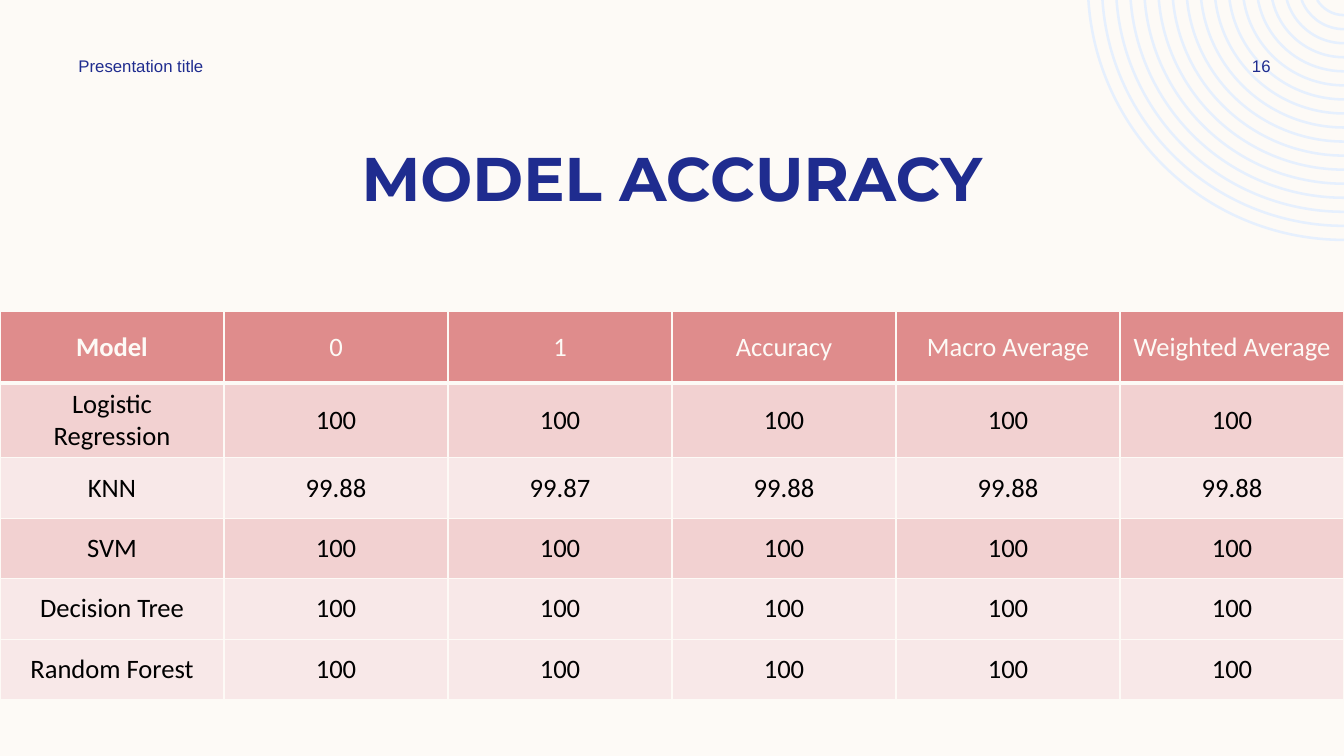
import math
from dataclasses import dataclass

from lxml import etree
from pptx import Presentation
from pptx import util as u
from pptx.dml.color import RGBColor
from pptx.enum import text
from pptx.oxml.ns import qn


@dataclass(frozen=True)
class Theme:
    page: str = "FDFAF6"
    ink: str = "1F2C8F"
    rings: str = "E6F0FE"
    head: str = "DF8C8C"
    dark_band: str = "F2D1D1"
    light_band: str = "F8E8E8"
    body: str = "000000"
    title_font: str = "Montserrat"
    table_font: str = "Calibri"
    label_font: str = "Arial"
    title_size: int = 44
    table_size: int = 19
    label_size: int = 12


THEME = Theme()
WIDTH, HEIGHT = 13.33, 7.5
CENTER, LEFT = text.PP_ALIGN.CENTER, text.PP_ALIGN.LEFT

HEADINGS = ["Model", "0", "1", "Accuracy", "Macro Average", "Weighted Average"]
SCORES = [
    ("Logistic Regression", ["100"] * 5, THEME.dark_band),
    ("KNN", ["99.88", "99.87", "99.88", "99.88", "99.88"], THEME.light_band),
    ("SVM", ["100"] * 5, THEME.dark_band),
    ("Decision Tree", ["100"] * 5, THEME.light_band),
    ("Random Forest", ["100"] * 5, THEME.light_band),
]


def write(frame, words, font, size, color, bold=False, align=CENTER):
    """Put one formatted run into a text frame."""
    para = frame.paragraphs[0]
    para.alignment = align
    span = para.add_run()
    span.text = words
    span.font.name, span.font.size, span.font.bold = font, u.Pt(size), bold
    span.font.color.rgb = RGBColor.from_string(color)


# Corner ornament: evenly spaced rings, cut off by the top and right page edges
def add_rings(page, center_x, center_y, inner, outer, count):
    radii = [inner + (outer - inner) * i / (count - 1) for i in range(count)]
    builder = None
    for radius in radii:
        reach = math.sqrt(radius ** 2 - center_y ** 2)
        start = u.Inches(center_x - reach), u.Inches(0)
        end = u.Inches(center_x), u.Inches(center_y + radius)
        if builder is None:
            builder = page.shapes.build_freeform(*start)
        else:
            builder.move_to(*start)
        builder.add_line_segments([end], close=False)
    rings = builder.convert_to_shape()

    # Bend each straight segment into an arc (angles in 1/60000 degree)
    segments = list(rings._element.iter(qn("a:lnTo")))
    for radius, segment in zip(radii, segments):
        cut = math.degrees(math.asin(-center_y / radius))
        size = str(u.Inches(radius))
        bend = etree.Element(qn("a:arcTo"), wR=size, hR=size,
                             stAng=str(round((180 - cut) * 60000)),
                             swAng=str(round((cut - 90) * 60000)))
        segment.getparent().replace(segment, bend)

    rings.shadow.inherit = False
    rings.fill.background()
    rings.line.color.rgb = RGBColor.from_string(THEME.rings)
    rings.line.width = u.Pt(1.8)
    page.shapes._spTree.insert(2, rings._element)  # behind everything else


# Title
def add_title(page, left, top, width, height):
    title = page.shapes.title
    title.left, title.top = u.Inches(left), u.Inches(top)
    title.width, title.height = u.Inches(width), u.Inches(height)
    frame = title.text_frame
    frame.auto_size = text.MSO_AUTO_SIZE.NONE
    frame.vertical_anchor = text.MSO_ANCHOR.MIDDLE
    write(frame, "MODEL ACCURACY", THEME.title_font, THEME.title_size, THEME.ink, True)


# Header labels
def add_label(page, words, left, top, width, height, align):
    box = page.shapes.add_textbox(*map(u.Inches, (left, top, width, height)))
    frame = box.text_frame
    frame.word_wrap = True
    frame.vertical_anchor = text.MSO_ANCHOR.MIDDLE
    write(frame, words, THEME.label_font, THEME.label_size, THEME.ink, align=align)


# Score table
def set_borders(cell, top, bottom):
    props = cell._tc.get_or_add_tcPr()
    for side, points in (("L", 1), ("R", 1), ("T", top), ("B", bottom)):
        line = etree.SubElement(props, qn(f"a:ln{side}"), w=str(u.Pt(points)))
        fill = etree.SubElement(line, qn("a:solidFill"))
        etree.SubElement(fill, qn("a:srgbClr"), val=THEME.page)


def add_scores(page, left, top, width, head_height, row_height):
    rows = [(HEADINGS, THEME.head)]
    rows += [([model, *values], band) for model, values, band in SCORES]
    height = head_height + row_height * len(SCORES)
    table = page.shapes.add_table(
        len(rows), len(HEADINGS), *map(u.Inches, (left, top, width, height))).table
    for column in table.columns:
        column.width = u.Inches(width / len(HEADINGS))
    for r, (values, band) in enumerate(rows):
        is_head = r == 0
        table.rows[r].height = u.Inches(head_height if is_head else row_height)
        for c, value in enumerate(values):
            cell = table.cell(r, c)
            set_borders(cell, top=3 if r == 1 else 1, bottom=3 if is_head else 1)
            cell.fill.solid()
            cell.fill.fore_color.rgb = RGBColor.from_string(band)
            cell.vertical_anchor = text.MSO_ANCHOR.MIDDLE
            cell.margin_left = cell.margin_right = u.Inches(0.11)
            cell.margin_top = cell.margin_bottom = u.Inches(0.05)
            write(cell.text_frame, value, THEME.table_font, THEME.table_size,
                  THEME.page if is_head else THEME.body, bold=is_head and c == 0)


def main():
    deck = Presentation()
    deck.slide_width, deck.slide_height = u.Inches(WIDTH), u.Inches(HEIGHT)
    page = deck.slides.add_slide(deck.slide_layouts[5])
    page.background.fill.solid()
    page.background.fill.fore_color.rgb = RGBColor.from_string(THEME.page)

    add_rings(page, WIDTH, -0.16, inner=0.31, outer=2.54, count=17)
    add_title(page, WIDTH / 16, 1.33, WIDTH * 7 / 8, 0.84)
    add_scores(page, 0, 3.09, WIDTH, head_height=0.71, row_height=0.6)
    add_label(page, "Presentation title", 0.68, HEIGHT / 15, 3.5, 0.3, LEFT)
    add_label(page, "16", 11.97, HEIGHT / 15, 1.08, 0.3, CENTER)
    deck.save("out.pptx")


if __name__ == "__main__":
    main()
